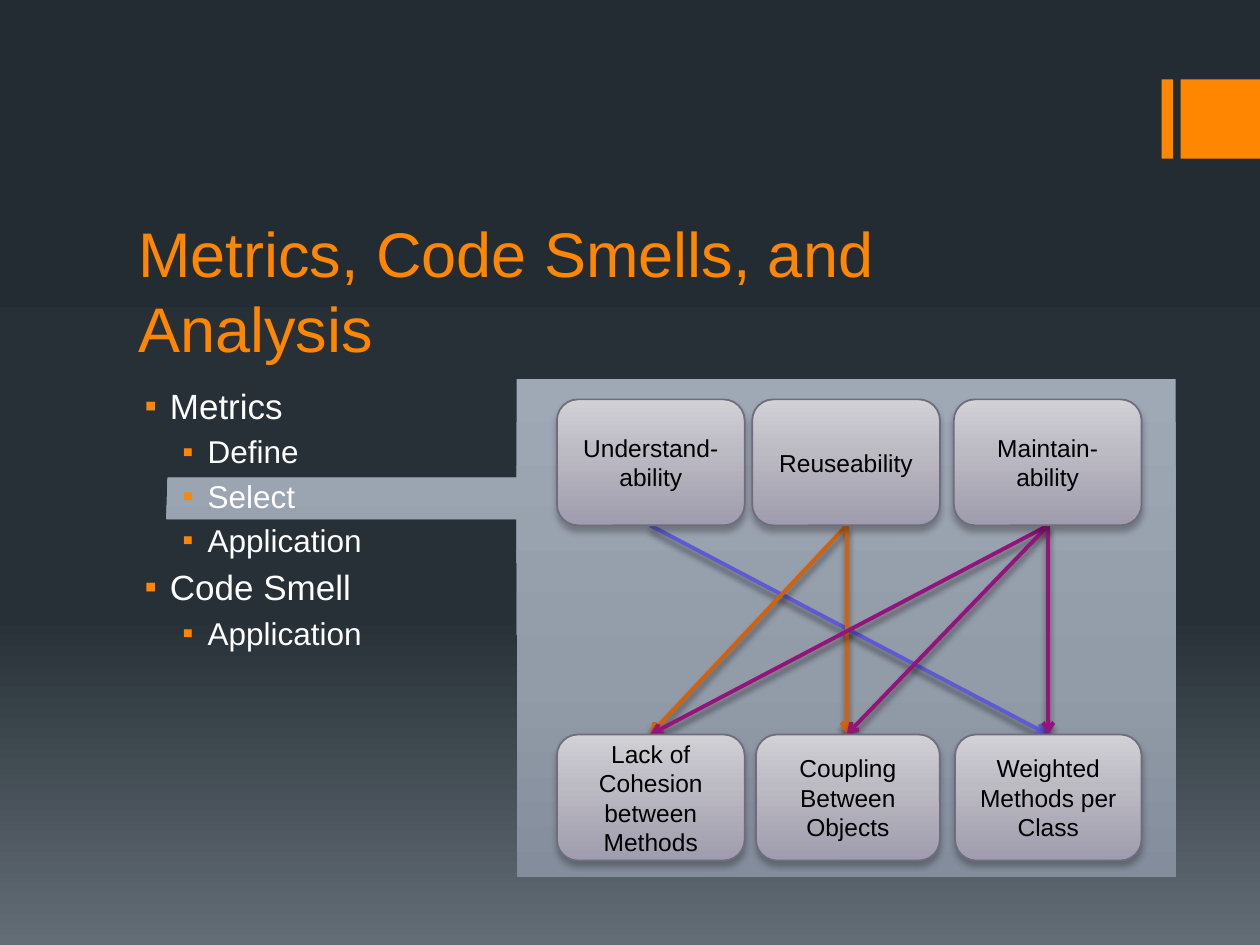
from lxml import etree
from pptx import Presentation
from pptx.dml.color import RGBColor
from pptx.enum import shapes, text
from pptx.oxml import ns
from pptx.util import Inches, Pt

ORANGE = RGBColor(0xFF, 0x86, 0x00)
WHITE = RGBColor(0xFF, 0xFF, 0xFF)
BLACK = RGBColor(0, 0, 0)
BLUE = RGBColor(0x5D, 0x5A, 0xD2)
RUST = RGBColor(0xD2, 0x61, 0x0C)
PURPLE = RGBColor(0x94, 0x14, 0x7C)
BORDER = RGBColor(0x6F, 0x6C, 0x7D)
BACK_STOPS = [(0, '242C33'), (65, '273037'), (100, '636D76')]
PANEL_STOPS = [(0, '9FA9B6'), (60, '929BA8'), (100, '838D9B')]
BOX_STOPS = [(0, 'D2D1D6'), (41, 'BCBAC3'), (100, '9F9CAD')]


def add(parent, tag, **attrs):
    el = etree.SubElement(parent, ns.qn(tag))
    for name, value in attrs.items():
        el.set(name, str(value))
    return el


def set_gradient(fill, element, stops):
    fill.gradient()
    fill.gradient_angle = 270
    gs_list = next(element.iter(ns.qn('a:gsLst')))
    for gs in list(gs_list):
        gs_list.remove(gs)
    for pos, color in stops:
        add(add(gs_list, 'a:gs', pos=pos * 1000), 'a:srgbClr', val=color)


prs = Presentation()
prs.slide_width, prs.slide_height = Inches(10), Inches(7.5)
s = prs.slides.add_slide(prs.slide_layouts[6])
set_gradient(s.background.fill, s.element, BACK_STOPS)

for x, w in [(9.22, 0.09), (9.37, 0.63)]:
    sp = s.shapes.add_shape(shapes.MSO_SHAPE.RECTANGLE, Inches(x), Inches(0.63), Inches(w), Inches(0.63))
    sp.shadow.inherit = False
    sp.fill.solid()
    sp.fill.fore_color.rgb = ORANGE
    sp.line.fill.background()

panel_points = [(1.33, 3.79), (1.32, 4.12), (4.1, 4.12), (4.11, 6.96),
                (9.33, 6.96), (9.33, 3.01), (4.1, 3.01), (4.1, 3.79)]
outline_points = [(Inches(x), Inches(y)) for x, y in panel_points]
fb = s.shapes.build_freeform(*outline_points[0])
fb.add_line_segments(outline_points[1:])
panel = fb.convert_to_shape()
panel.shadow.inherit = False
panel.line.fill.background()
set_gradient(panel.fill, panel.element, PANEL_STOPS)

centers = [5.16, 6.72, 8.32]
top_y, bottom_y, box_h = 3.17, 5.83, 1
arrows = [(0, 2, BLUE), (1, 0, RUST), (1, 1, RUST), (2, 0, PURPLE), (2, 1, PURPLE), (2, 2, PURPLE)]
shadowed = []
for start, end, color in arrows:
    cn = s.shapes.add_connector(shapes.MSO_CONNECTOR.STRAIGHT, Inches(centers[start]), Inches(top_y + box_h),
                                Inches(centers[end]), Inches(bottom_y))
    cn.line.color.rgb = color
    cn.line.width = Pt(2.25)
    add(cn.line._get_or_add_ln(), 'a:tailEnd', type='arrow')
    shadowed.append((add(cn.element.spPr, 'a:effectLst'), 3.8, 48))

tb = s.shapes.add_textbox(Inches(1), Inches(1.69), Inches(8), Inches(1.26))
tf = tb.text_frame
tf.word_wrap = True
tf.vertical_anchor = text.MSO_ANCHOR.BOTTOM
r = tf.paragraphs[0].add_run()
r.text = 'Metrics, Code Smells, and Analysis'
for name, value in {'name': 'Arial', 'size': Pt(36)}.items():
    setattr(r.font, name, value)
r.font.color.rgb = ORANGE

tb = s.shapes.add_textbox(Inches(1), Inches(3), Inches(3), Inches(3.93))
tf = tb.text_frame
tf.word_wrap = True
outline = [(0, 'Metrics'), (1, 'Define'), (1, 'Select'), (1, 'Application'), (0, 'Code Smell'), (1, 'Application')]
for i, (level, words) in enumerate(outline):
    p = tf.paragraphs[0] if i == 0 else tf.add_paragraph()
    size = 20 - 2 * level
    p.level = level
    p.space_before = Pt(size * 0.2)
    pPr = p._p.get_or_add_pPr()
    pPr.set('marL', str(Inches(0.25 + 0.3 * level)))
    pPr.set('indent', str(Inches(-0.2)))
    add(add(pPr, 'a:buClr'), 'a:srgbClr', val=str(ORANGE))
    add(pPr, 'a:buFont', typeface='Arial')
    add(pPr, 'a:buChar', char='▪')
    r = p.add_run()
    r.text = words
    for name, value in {'name': 'Arial', 'size': Pt(size)}.items():
        setattr(r.font, name, value)
    r.font.color.rgb = WHITE

boxes = [
    (4.42, bottom_y, 1.49, 'Lack of Cohesion between Methods'),
    (6, bottom_y, 1.46, 'Coupling Between Objects'),
    (7.58, bottom_y, 1.48, 'Weighted Methods per Class'),
    (4.42, top_y, 1.49, 'Understand-ability'),
    (5.97, top_y, 1.49, 'Reuseability'),
    (7.57, top_y, 1.49, 'Maintain-ability'),
]
for x, y, w, words in boxes:
    sp = s.shapes.add_shape(shapes.MSO_SHAPE.ROUNDED_RECTANGLE, Inches(x), Inches(y), Inches(w), Inches(box_h))
    set_gradient(sp.fill, sp.element, BOX_STOPS)
    sp.line.color.rgb = BORDER
    sp.line.width = Pt(1)
    sp.shadow.inherit = False
    shadowed.append((sp.element.spPr.find(ns.qn('a:effectLst')), 4, 28))
    tf = sp.text_frame
    tf.word_wrap = True
    tf.vertical_anchor = text.MSO_ANCHOR.MIDDLE
    p = tf.paragraphs[0]
    p.alignment = text.PP_ALIGN.CENTER
    r = p.add_run()
    r.text = words
    for name, value in {'name': 'Arial', 'size': Pt(14)}.items():
        setattr(r.font, name, value)
    r.font.color.rgb = BLACK

for effects, blur, alpha in shadowed:
    shadow = add(effects, 'a:outerShdw', blurRad=Pt(blur), dist=Pt(3), dir=90 * 60000, rotWithShape=0)
    add(add(shadow, 'a:srgbClr', val=str(BLACK)), 'a:alpha', val=alpha * 1000)

prs.save("out.pptx")
